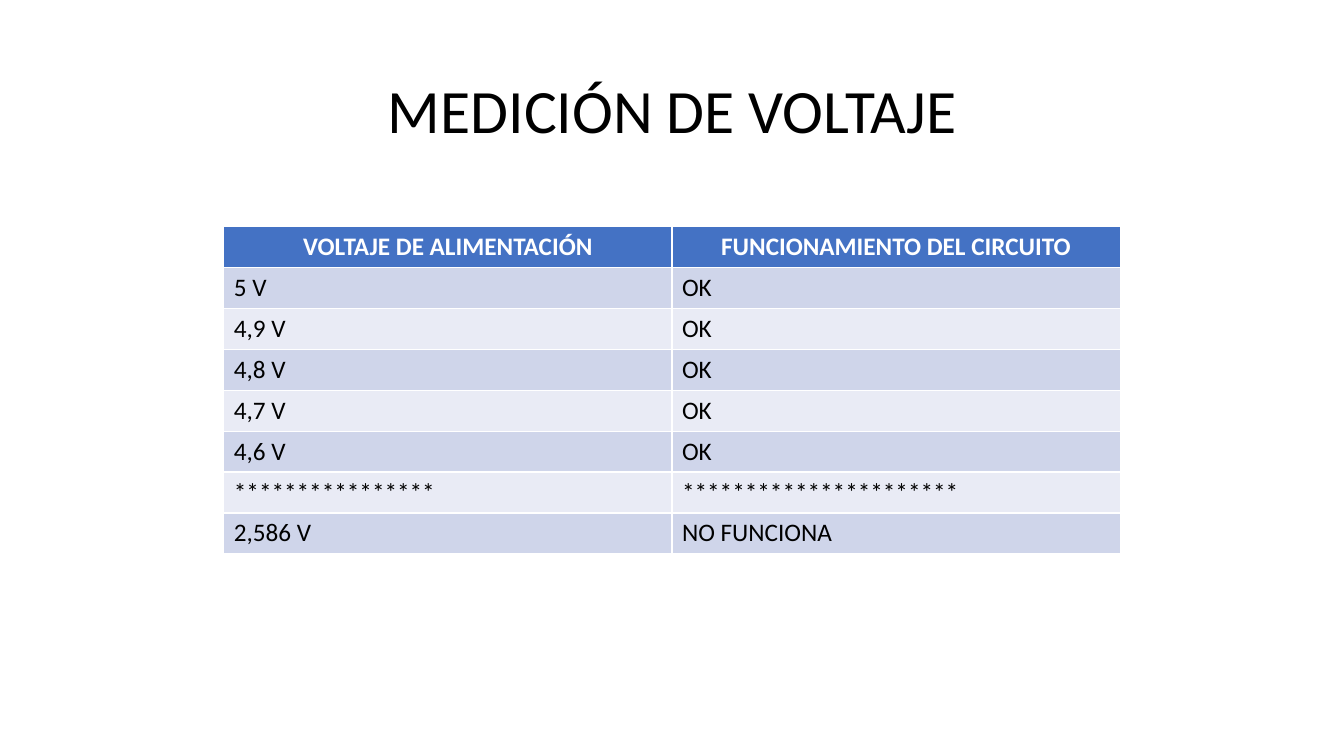
from dataclasses import dataclass

from pptx import Presentation
from pptx.dml.color import RGBColor as RGB
from pptx.enum.text import MSO_ANCHOR as ANCHOR, PP_ALIGN as ALIGN
from pptx.util import Inches, Pt


@dataclass(frozen=True)
class Theme:
    """Font, colours and type sizes of the slide."""
    font: str = "Calibri"
    text: RGB = RGB.from_string("000000")
    header_text: RGB = RGB.from_string("FFFFFF")
    header_fill: RGB = RGB.from_string("4472C4")
    bands: tuple = (RGB.from_string("CFD5EA"), RGB.from_string("E9EBF5"))
    title_size: Pt = Pt(44)
    table_size: Pt = Pt(18)


THEME = Theme()
TITLE = "MEDICIÓN DE VOLTAJE"
TITLE_BOX = (0.92, 0.4, 11.5, 1.45)
TABLE_BOX = (2.22, 2.25, 8.89, 3.24)
READINGS = [
    ("VOLTAJE DE ALIMENTACIÓN", "FUNCIONAMIENTO DEL CIRCUITO"),
    *((volts, "OK") for volts in ("5 V", "4,9 V", "4,8 V", "4,7 V", "4,6 V")),
    ("*" * 16, "*" * 22),
    ("2,586 V", "NO FUNCIONA"),
]


def write(tf, text, size, color, bold=False, **paragraph_format):
    """Write one formatted paragraph into a text frame."""
    p = tf.paragraphs[0]
    for name, value in paragraph_format.items():
        setattr(p, name, value)
    r = p.add_run()
    r.text = text
    r.font.color.rgb = color
    for name, value in {"name": THEME.font, "size": size, "bold": bold}.items():
        setattr(r.font, name, value)


def add_title(slide, box, text):
    """Place the title placeholder in the box."""
    sp = slide.shapes.title
    for name, value in zip(("left", "top", "width", "height"), box):
        setattr(sp, name, Inches(value))
    sp.text_frame.vertical_anchor = ANCHOR.MIDDLE
    write(sp.text_frame, text, THEME.title_size, THEME.text,
          alignment=ALIGN.CENTER, line_spacing=0.9)


def add_readings(slide, box, rows):
    """Fill the box with a banded table whose first row is the header."""
    frame = slide.shapes.add_table(len(rows), len(rows[0]), *map(Inches, box))
    for i, row in enumerate(rows):
        header = i == 0
        fill = THEME.header_fill if header else THEME.bands[(i - 1) % 2]
        color = THEME.header_text if header else THEME.text
        align = ALIGN.CENTER if header else ALIGN.LEFT
        for j, text in enumerate(row):
            cell = frame.table.cell(i, j)
            cell.fill.solid()
            cell.fill.fore_color.rgb = fill
            write(cell.text_frame, text, THEME.table_size, color, header,
                  alignment=align)


def main():
    """Build the slide and save it."""
    prs = Presentation()
    prs.slide_width, prs.slide_height = Inches(13.33), Inches(7.5)
    slide = prs.slides.add_slide(prs.slide_layouts.get_by_name("Title Only"))
    add_title(slide, TITLE_BOX, TITLE)
    add_readings(slide, TABLE_BOX, READINGS)
    prs.save("out.pptx")


if __name__ == "__main__":
    main()
